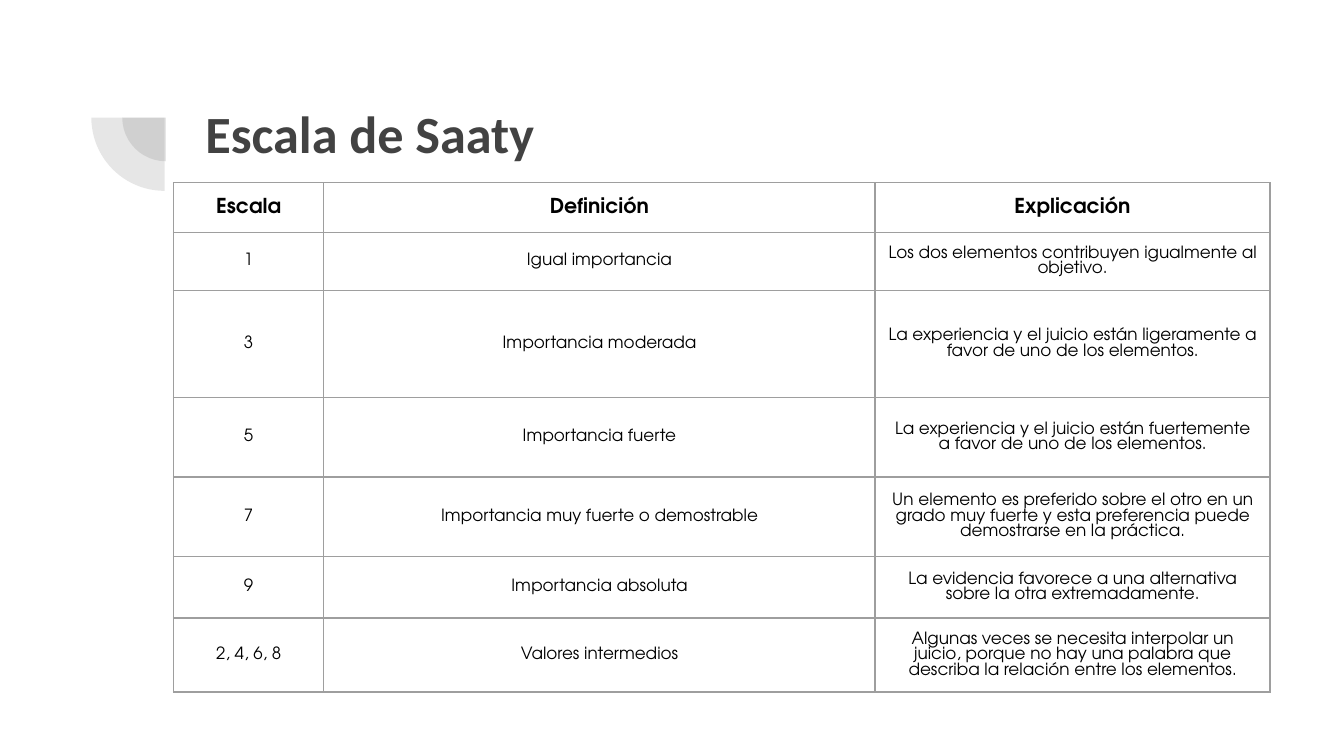
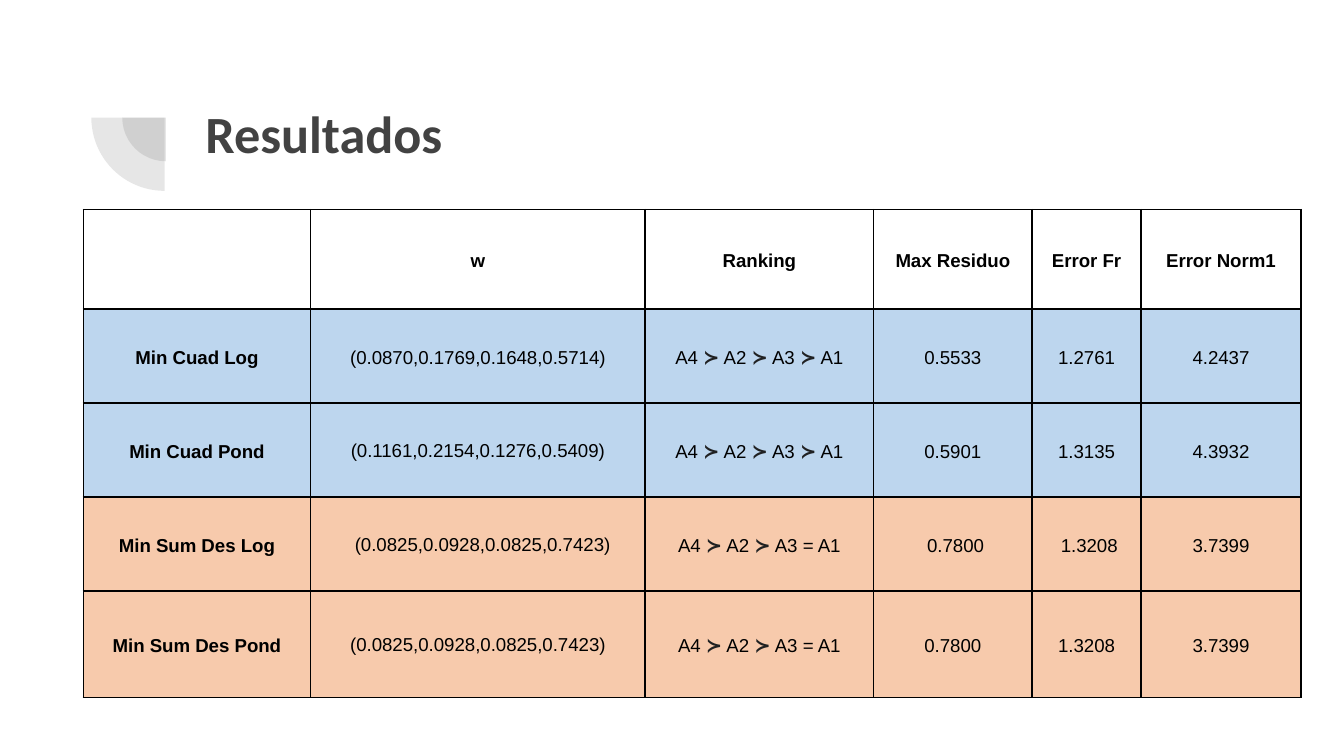
from dataclasses import dataclass
from typing import Optional

from lxml.etree import SubElement
from pptx import Presentation
from pptx.dml.color import RGBColor
from pptx.enum.shapes import MSO_SHAPE
from pptx.enum.text import MSO_ANCHOR, PP_ALIGN
from pptx.oxml.ns import qn
from pptx.util import Emu, Pt

EMU_PER_PX = 9144  # 100 px to the inch


@dataclass(frozen=True)
class Theme:
    ink: str = "424242"
    text: str = "000000"
    prec_sign: str = "202122"
    blue: str = "BDD6EE"
    orange: str = "F7CAAC"
    arc_alpha: int = 13
    title_font: str = "Calibri"
    title_size: float = 28
    sign_size: float = 10.5


@dataclass(frozen=True)
class TableStyle:
    font: str
    head_size: float
    body_size: float
    border: str
    border_width: float
    margin_x: int
    margin_y: int
    line_spacing: Optional[float] = None


THEME = Theme()
SCALE_STYLE = TableStyle("TeX Gyre Adventor", 11, 9, "9E9E9E", 0.75, 10, 4)
RESULT_STYLE = TableStyle("Arial", 10, 10, "000000", 1, 7, 10, 1.15)

SCALE_COLS = [112, 410, 294]
SCALE_ROWS = [37, 43, 80, 59, 59, 46, 55]
SCALE = [
    ["Escala", "Definición", "Explicación"],
    ["1", "Igual importancia",
     "Los dos elementos contribuyen igualmente al objetivo."],
    ["3", "Importancia moderada",
     "La experiencia y el juicio están ligeramente a favor de uno de los elementos."],
    ["5", "Importancia fuerte",
     "La experiencia y el juicio están fuertemente a favor de uno de los elementos."],
    ["7", "Importancia muy fuerte o demostrable",
     "Un elemento es preferido sobre el otro en un grado muy fuerte y esta "
     "preferencia puede demostrarse en la práctica."],
    ["9", "Importancia absoluta",
     "La evidencia favorece a una alternativa sobre la otra extremadamente."],
    ["2, 4, 6, 8", "Valores intermedios",
     "Algunas veces se necesita interpolar un juicio, porque no hay una palabra "
     "que describa la relación entre los elementos."],
]

RESULT_COLS = [169, 249, 170, 118, 81, 119]
RESULT_ROWS = [74, 70, 70, 70, 79]
RESULTS = [
    ["", "w", "Ranking", "Max Residuo", "Error Fr", "Error Norm1"],
    ["Min Cuad Log", "(0.0870,0.1769,0.1648,0.5714)", "A4 ≻ A2 ≻ A3 ≻ A1",
     "0.5533", "1.2761", "4.2437"],
    ["Min Cuad Pond", "(0.1161,0.2154,0.1276,0.5409)", "A4 ≻ A2 ≻ A3 ≻ A1",
     "0.5901", "1.3135", "4.3932"],
    ["Min Sum Des Log", "(0.0825,0.0928,0.0825,0.7423)", "A4 ≻ A2 ≻ A3 = A1",
     "0.7800", "1.3208", "3.7399"],
    ["Min Sum Des Pond", "(0.0825,0.0928,0.0825,0.7423)", "A4 ≻ A2 ≻ A3 = A1",
     "0.7800", "1.3208", "3.7399"],
]
RESULT_FILLS = [None, THEME.blue, THEME.blue, THEME.orange, THEME.orange]
RESULT_NUDGES = {(3, 1): 7, (3, 3): 4, (3, 4): 4}  # extra left margin


def px(n):
    return Emu(n * EMU_PER_PX)


def format_run(r, font, size, color, bold):
    r.font.name = font
    r.font.size = Pt(size)
    r.font.bold = bold
    r.font.color.rgb = RGBColor.from_string(color)


# Shared slide parts
def add_arc(s, x, y, size):
    sp = s.shapes.add_shape(MSO_SHAPE.PIE, px(x), px(y), px(size), px(size))
    sp.adjustments[0], sp.adjustments[1] = 108, 162  # 180 to 270 degrees
    sp.rotation = 270
    sp.shadow.inherit = False
    sp.line.fill.background()
    sp.fill.solid()
    sp.fill.fore_color.rgb = RGBColor.from_string(THEME.ink)
    color = sp.fill._xPr.find(qn("a:solidFill"))[0]
    SubElement(color, qn("a:alpha"), val=str(THEME.arc_alpha * 1000))


def add_title(s, text):
    tf = s.shapes.add_textbox(px(143), px(65), px(769), px(109)).text_frame
    tf.word_wrap = True
    tf.margin_left = tf.margin_right = tf.margin_top = tf.margin_bottom = px(10)
    tf.text = text
    format_run(tf.paragraphs[0].runs[0], THEME.title_font, THEME.title_size,
               THEME.ink, True)


def add_titled_slide(prs, title):
    s = prs.slides.add_slide(prs.slide_layouts[6])
    add_arc(s, 91, 55, 65)
    add_arc(s, 68, 33, 109)
    add_title(s, title)
    return s


# Tables
def set_borders(cell, style):
    tc_pr = cell._tc.get_or_add_tcPr()
    for side in ("lnL", "lnR", "lnT", "lnB"):
        ln = SubElement(tc_pr, qn(f"a:{side}"), w=str(Pt(style.border_width)))
        fill = SubElement(ln, qn("a:solidFill"))
        SubElement(fill, qn("a:srgbClr"), val=style.border)


def set_cell_text(cell, text, style, size, bold):
    p = cell.text_frame.paragraphs[0]
    p.alignment = PP_ALIGN.CENTER
    p.line_spacing = style.line_spacing
    # The precedence sign gets a run of its own
    for i, part in enumerate(text.split("≻")):
        if i:
            r = p.add_run()
            r.text = "≻"
            format_run(r, style.font, THEME.sign_size, THEME.prec_sign, True)
        r = p.add_run()
        r.text = part
        format_run(r, style.font, size, THEME.text, bold)


def style_cell(cell, style, fill):
    cell.vertical_anchor = MSO_ANCHOR.MIDDLE
    cell.margin_left = cell.margin_right = px(style.margin_x)
    cell.margin_top = cell.margin_bottom = px(style.margin_y)
    set_borders(cell, style)
    if fill:
        cell.fill.solid()
        cell.fill.fore_color.rgb = RGBColor.from_string(fill)
    else:
        cell.fill.background()


def add_grid(s, x, y, cols, rows, data, style, fills=None, bold_first_col=False):
    table = s.shapes.add_table(len(rows), len(cols), px(x), px(y),
                               px(sum(cols)), px(sum(rows))).table
    table.first_row = table.horz_banding = False
    for column, width in zip(table.columns, cols):
        column.width = px(width)
    for i, (row, height) in enumerate(zip(table.rows, rows)):
        row.height = px(height)
        size = style.body_size if i else style.head_size
        for j, cell in enumerate(row.cells):
            style_cell(cell, style, fills[i] if fills else None)
            if data[i][j]:
                bold = i == 0 or (bold_first_col and j == 0)
                set_cell_text(cell, data[i][j], style, size, bold)
    return table


def main():
    prs = Presentation()
    prs.slide_width, prs.slide_height = px(1000), Emu(5143500)

    # Saaty scale
    s = add_titled_slide(prs, "Escala de Saaty")
    add_grid(s, 129, 136, SCALE_COLS, SCALE_ROWS, SCALE, SCALE_STYLE)

    # Results by method
    s = add_titled_slide(prs, "Resultados")
    table = add_grid(s, 62, 156, RESULT_COLS, RESULT_ROWS, RESULTS, RESULT_STYLE,
                     RESULT_FILLS, bold_first_col=True)
    for i in range(2, len(RESULTS)):
        table.cell(i, 1).text_frame.paragraphs[0].line_spacing = 1.07
    for (i, j), extra in RESULT_NUDGES.items():
        table.cell(i, j).margin_left = px(RESULT_STYLE.margin_x + extra)

    prs.save("out.pptx")


if __name__ == "__main__":
    main()
